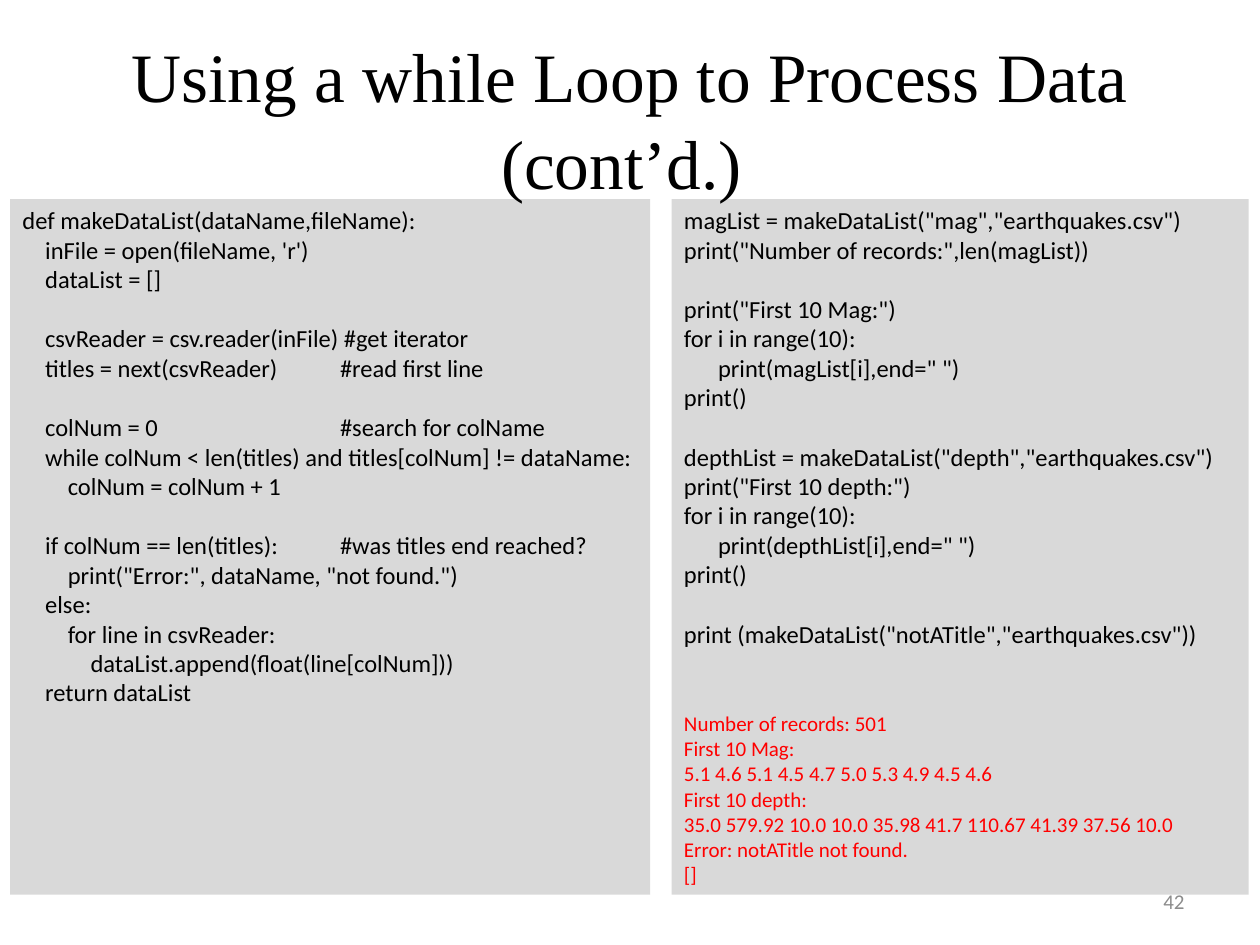
from pptx import Presentation
from pptx.dml.color import RGBColor
from pptx.enum.shapes import MSO_SHAPE
from pptx.enum.text import MSO_ANCHOR, PP_ALIGN
from pptx.util import Inches, Pt
from lxml import etree

COLORS = {"panel": "D9D9D9", "code": "000000", "output": "FF0000", "number": "8C8C8C"}
NS = "http://schemas.openxmlformats.org/drawingml/2006/main"
CODE_SIZE = 14
BLANK_LINE = Pt(17.1)  # height of one line of code

# Leading tabs indent the code; an inner tab leads to the comment column.
# Each block is set off from the one before it by one line of space.
FUNCTION_CODE = [
    """def makeDataList(dataName,fileName):
\tinFile = open(fileName, 'r')
\tdataList = []""",
    """\tcsvReader = csv.reader(inFile) #get iterator
\ttitles = next(csvReader)\t#read first line""",
    """\tcolNum = 0\t#search for colName
\twhile colNum < len(titles) and titles[colNum] != dataName:
\t\tcolNum = colNum + 1""",
    """\tif colNum == len(titles):\t#was titles end reached?
\t\tprint("Error:", dataName, "not found.")
\telse:
\t\tfor line in csvReader:
\t\t\tdataList.append(float(line[colNum]))
\treturn dataList""",
]
MAIN_CODE = [
    """magList = makeDataList("mag","earthquakes.csv")
print("Number of records:",len(magList))""",
    """print("First 10 Mag:")
for i in range(10):
\tprint(magList[i],end=" ")
print()""",
    """depthList = makeDataList("depth","earthquakes.csv")
print("First 10 depth:")
for i in range(10):
\tprint(depthList[i],end=" ")
print()""",
    """print (makeDataList("notATitle","earthquakes.csv"))""",
]
OUTPUT = """Number of records: 501
First 10 Mag:
5.1 4.6 5.1 4.5 4.7 5.0 5.3 4.9 4.5 4.6
First 10 depth:
35.0 579.92 10.0 10.0 35.98 41.7 110.67 41.39 37.56 10.0
Error: notATitle not found.
[]"""


class SlideWriter:
    def __init__(self, slide, font="Calibri"):
        self.slide = slide
        self.font = font

    def _write(self, frame, blocks, size, color, font=None, tabs=(), **paragraph_format):
        frame.word_wrap = True
        first = True
        for block in blocks:
            for row, line in enumerate(block.split("\n")):
                paragraph = frame.paragraphs[0] if first else frame.add_paragraph()
                for name, value in {"alignment": PP_ALIGN.LEFT, **paragraph_format}.items():
                    setattr(paragraph, name, value)
                if row == 0 and not first:
                    paragraph.space_before = BLANK_LINE
                self._set_tabs(paragraph, tabs)
                run = paragraph.add_run()
                run.text = line
                for name, value in {"name": font or self.font, "size": Pt(size)}.items():
                    setattr(run.font, name, value)
                run.font.color.rgb = RGBColor.from_string(COLORS[color])
                first = False

    def _set_tabs(self, paragraph, tabs):
        if tabs:
            properties = paragraph._p.get_or_add_pPr()
            tab_list = etree.SubElement(properties, f"{{{NS}}}tabLst")
            for stop in tabs:
                etree.SubElement(tab_list, f"{{{NS}}}tab", pos=str(Inches(stop)), algn="l")

    def text(self, box, blocks, size, color, anchor=MSO_ANCHOR.TOP, **style):
        frame = self.slide.shapes.add_textbox(*map(Inches, box)).text_frame
        frame.vertical_anchor = anchor
        self._write(frame, blocks, size, color, **style)

    def code_panel(self, box, blocks, tabs):
        panel = self.slide.shapes.add_shape(MSO_SHAPE.RECTANGLE, *map(Inches, box))
        panel.shadow.inherit = False
        panel.fill.solid()
        panel.fill.fore_color.rgb = RGBColor.from_string(COLORS["panel"])
        panel.line.fill.background()
        panel.text_frame.vertical_anchor = MSO_ANCHOR.TOP
        self._write(panel.text_frame, blocks, CODE_SIZE, "code", tabs=tabs)


def main():
    deck = Presentation()
    deck.slide_width, deck.slide_height = Inches(10), Inches(7.5)
    writer = SlideWriter(deck.slides.add_slide(deck.slide_layouts[6]))

    # Slide number
    writer.text((7.17, 6.95, 2.33, 0.4), ["42"], 12, "number",
                anchor=MSO_ANCHOR.MIDDLE, alignment=PP_ALIGN.RIGHT)

    # Function on the left, its use on the right
    panel_top, panel_height = 1.58, 5.52
    indent, comment_column = 0.18, 2.52
    writer.code_panel((0.08, panel_top, 5.08, panel_height), FUNCTION_CODE,
                      tabs=[indent, 2 * indent, 3 * indent, comment_column])
    writer.code_panel((5.33, panel_top, 4.58, panel_height), MAIN_CODE, tabs=[0.27])

    # Program output
    writer.text((5.33, 5.59, 4.58, 1.51), [OUTPUT], 12, "output")

    # Title
    writer.text((0.5, 0.3, 9, 1.25), ["Using a while Loop to Process Data (cont’d.) "],
                39.6, "code", anchor=MSO_ANCHOR.MIDDLE, font="Times New Roman",
                alignment=PP_ALIGN.CENTER, line_spacing=1.05)

    deck.save("out.pptx")


if __name__ == "__main__":
    main()
